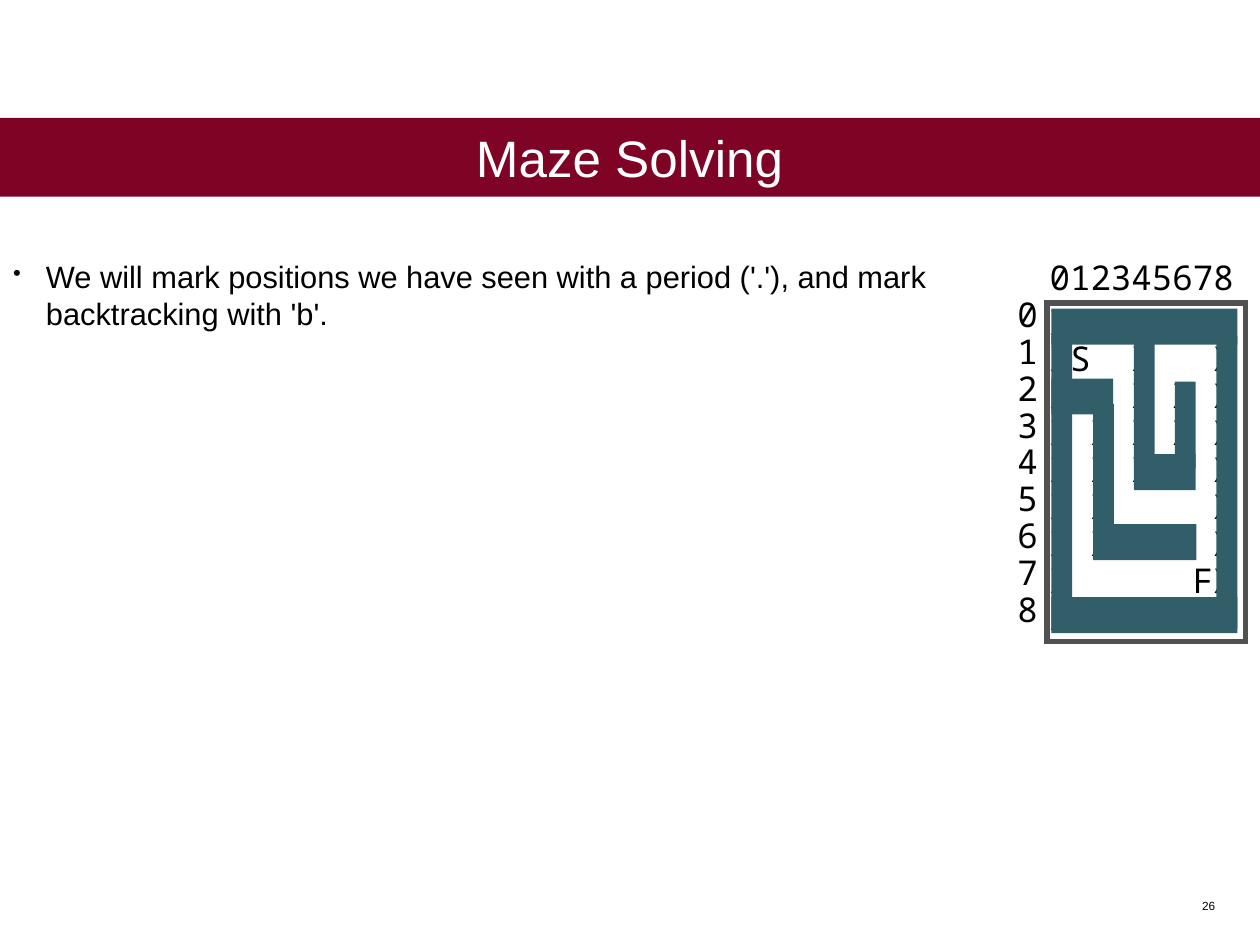
from dataclasses import dataclass

from lxml import etree
from pptx import Presentation
from pptx import util as u
from pptx.dml.color import RGBColor
from pptx.enum import shapes, text
from pptx.oxml import ns

PX = 9144  # EMU per px, 100 px to the inch


@dataclass(frozen=True)
class Theme:
    band: str = "7F0325"
    wall: str = "325E6A"
    frame: str = "515151"
    ink: str = "000000"
    paper: str = "FFFFFF"
    sans: str = "Arial"
    mono: str = "Noto Sans Mono"
    title_pt: float = 58.5
    body_pt: float = 35.2
    maze_pt: float = 39
    page_pt: float = 13.5
    line_pt: float = 42.2
    frame_pt: float = 6


@dataclass(frozen=True)
class Box:
    left: int
    top: int
    width: int
    height: int

    def emu(self) -> list[int]:
        return [n * PX for n in (self.left, self.top, self.width, self.height)]


@dataclass(frozen=True)
class Bar:
    """Horizontal wall: first maze column, columns covered, top edge."""
    column: int
    columns: int
    top: int


@dataclass(frozen=True)
class Post:
    """Vertical wall: maze column, top edge, height."""
    column: int
    top: int
    height: int


THEME = Theme()
MAZE_LEFT, COLUMN, POST_WIDTH, BAR_HEIGHT = 1669, 32.75, 33, 57
INDEX_INDENT, BULLET_INDENT = 51, 52

MAZE = [
    "XXXXXXXXX",
    "XS  X   X",
    "XXX X X X",
    "X X X X X",
    "X X XXX X",
    "X X     X",
    "X XXXXX X",
    "X      FX",
    "XXXXXXXXX",
]
BARS = [Bar(0, 9, 490), Bar(0, 9, 948), Bar(0, 3, 601), Bar(2, 5, 832), Bar(4, 3, 721)]
POSTS = [Post(0, 534, 464), Post(8, 534, 464), Post(4, 534, 243),
         Post(6, 606, 137), Post(2, 641, 206)]


def add_rect(slide, box: Box, fill: str | None = None, line: str | None = None):
    rect = slide.shapes.add_shape(shapes.MSO_SHAPE.RECTANGLE, *box.emu())
    rect.shadow.inherit = False
    if fill:
        rect.fill.solid()
        rect.fill.fore_color.rgb = RGBColor.from_string(fill)
    else:
        rect.fill.background()
    if line:
        rect.line.color.rgb = RGBColor.from_string(line)
        rect.line.width = u.Pt(THEME.frame_pt)
        # Square corners
        outline = rect.line._get_or_add_ln()
        etree.SubElement(outline, ns.qn("a:miter")).set("lim", "800000")
    else:
        rect.line.fill.background()
    return rect


def set_font(paragraph, face: str, size: float, color: str) -> None:
    paragraph.font.name = face
    paragraph.font.size = u.Pt(size)
    paragraph.font.color.rgb = RGBColor.from_string(color)


def set_insets(frame, inset: int) -> None:
    frame.margin_left = frame.margin_right = inset * PX
    frame.margin_top = frame.margin_bottom = inset * PX


def add_lines(slide, box: Box, lines: list[str], inset: int = 4, wrap: bool = True):
    frame = slide.shapes.add_textbox(*box.emu()).text_frame
    frame.word_wrap = wrap
    set_insets(frame, inset)
    frame.text = "\n".join(lines)
    return frame.paragraphs


def set_indent(paragraph, margin: int, first: int) -> None:
    props = paragraph._p.get_or_add_pPr()
    props.set("marL", str(margin * PX))
    props.set("indent", str(first * PX))


def add_bullet(paragraph) -> None:
    set_indent(paragraph, BULLET_INDENT, -BULLET_INDENT)
    props = paragraph._p.get_or_add_pPr()
    etree.SubElement(props, ns.qn("a:buSzPct")).set("val", "75000")
    etree.SubElement(props, ns.qn("a:buChar")).set("char", "•")


def add_mono_lines(slide, box: Box, lines: list[str]):
    paragraphs = add_lines(slide, box, lines)
    for paragraph in paragraphs:
        paragraph.line_spacing = u.Pt(THEME.line_pt)
        set_font(paragraph, THEME.mono, THEME.maze_pt, THEME.ink)
    return paragraphs


def column_px(column: int) -> int:
    return round(COLUMN * column)


def add_title(slide) -> None:
    band = add_rect(slide, Box(-5, 187, 2009, 125), fill=THEME.band)
    frame = band.text_frame
    set_insets(frame, 4)
    frame.vertical_anchor = text.MSO_ANCHOR.MIDDLE
    frame.text = "Maze Solving"
    title = frame.paragraphs[0]
    title.alignment = text.PP_ALIGN.CENTER
    set_font(title, THEME.sans, THEME.title_pt, THEME.paper)


def add_body(slide) -> None:
    rule = add_lines(slide, Box(17, 405, 1547, 835), [
        "We will mark positions we have seen with a period ('.'), "
        "and mark backtracking with 'b'."])[0]
    add_bullet(rule)
    rule.line_spacing = u.Pt(THEME.line_pt)
    set_font(rule, THEME.sans, THEME.body_pt, THEME.ink)


def add_maze(slide) -> None:
    # Column and row numbers
    rows = [str(row) for row in range(len(MAZE))]
    column_numbers = add_mono_lines(slide, Box(1611, 409, 400, 599), ["".join(rows), *rows])[0]
    set_indent(column_numbers, 0, INDEX_INDENT)

    # Frame and cells
    add_rect(slide, Box(1662, 481, 315, 537), line=THEME.frame)
    add_mono_lines(slide, Box(1662, 480, 315, 540), MAZE)

    # Walls
    walls = [Box(MAZE_LEFT + column_px(bar.column), bar.top, column_px(bar.columns), BAR_HEIGHT)
             for bar in BARS]
    walls += [Box(MAZE_LEFT + column_px(post.column), post.top, POST_WIDTH, post.height)
              for post in POSTS]
    for wall in walls:
        add_rect(slide, wall, fill=THEME.wall)


def add_page_number(slide) -> None:
    number = add_lines(slide, Box(1885, 1421, 50, 34), ["26"], inset=6)[0]
    number.alignment = text.PP_ALIGN.RIGHT
    set_font(number, THEME.sans, THEME.page_pt, THEME.ink)


def main() -> None:
    deck = Presentation()
    deck.slide_width, deck.slide_height = 2000 * PX, 1500 * PX
    slide = deck.slides.add_slide(deck.slide_layouts[6])
    add_title(slide)
    add_body(slide)
    add_maze(slide)
    add_page_number(slide)
    deck.save("out.pptx")


if __name__ == "__main__":
    main()
